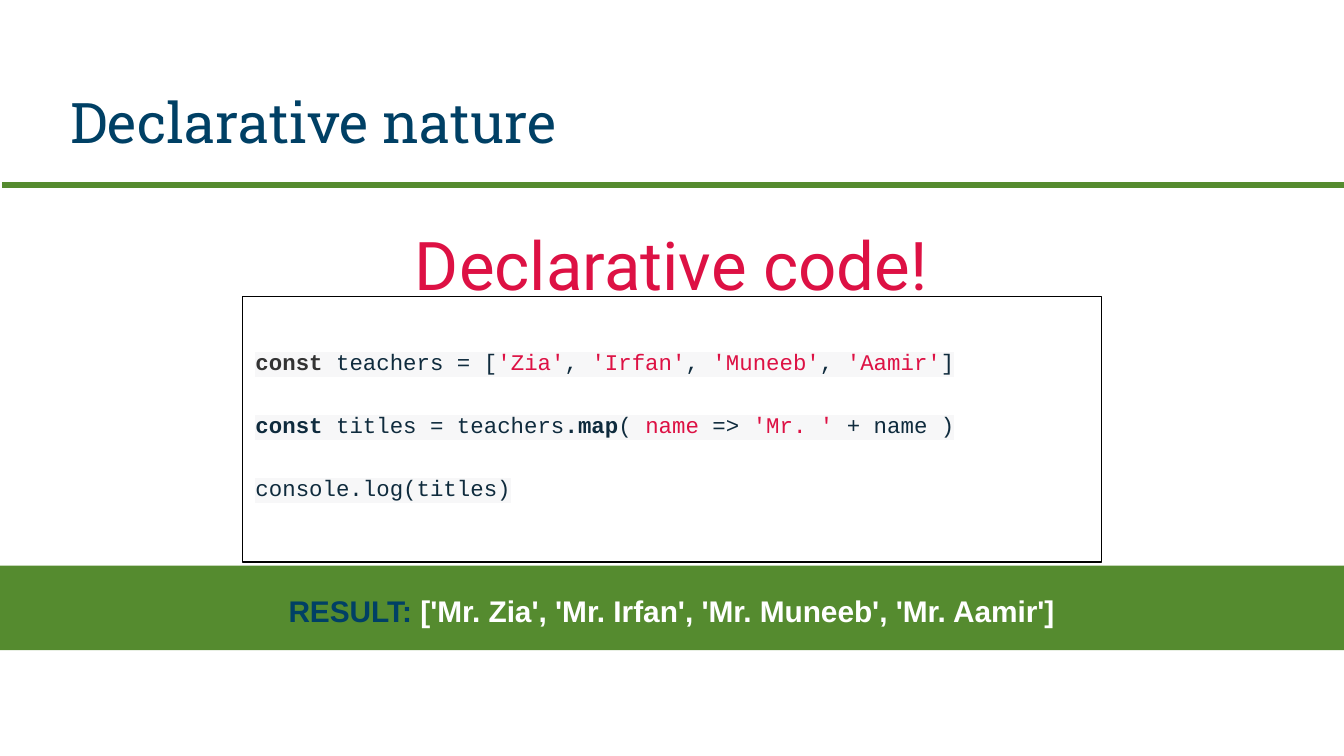
"""Builds a slide on declarative code with a sample and its result."""
from lxml import etree
from pptx import Presentation
from pptx.dml.color import RGBColor
from pptx.enum import shapes, text
from pptx.oxml import ns
from pptx.util import Pt

NAVY = RGBColor(0x00, 0x40, 0x65)
GREEN = RGBColor(0x55, 0x8B, 0x2F)
CRIMSON = RGBColor(0xDD, 0x11, 0x44)
INK = RGBColor(0x0F, 0x2B, 0x3D)
CHARCOAL = RGBColor(0x33, 0x33, 0x33)
BLACK = RGBColor(0x00, 0x00, 0x00)
WHITE = RGBColor(0xFF, 0xFF, 0xFF)
PALE = RGBColor(0xF7, 0xF7, 0xF8)

WIDTH, HEIGHT = 720, 405
INSET = 7.2

TEACHERS = ["'Zia'", "'Irfan'", "'Muneeb'", "'Aamir'"]
TITLE = [[("Declarative nature", NAVY, False)]]
HEADING = [[("Declarative code!", CRIMSON, False)]]
RESULT = [[
    ("RESULT: ", NAVY, True),
    ("['Mr. Zia', 'Mr. Irfan', 'Mr. Muneeb', 'Mr. Aamir']", WHITE, True),
]]

teacher_list = [("const", CHARCOAL, True), (" teachers = [", INK, False)]
for position, teacher in enumerate(TEACHERS):
    if position:
        teacher_list.append((", ", INK, False))
    teacher_list.append((teacher, CRIMSON, False))
teacher_list.append(("]", INK, False))

CODE = [
    teacher_list,
    [
        ("const", INK, True),
        (" titles = teachers", INK, False),
        (".map", INK, True),
        ("( ", INK, False),
        ("name", CRIMSON, False),
        (" => ", INK, False),
        ("'Mr. ' ", CRIMSON, False),
        ("+ name )", INK, False),
    ],
    [("console.log(titles)", INK, False)],
]


def write(holder, lines, *, font, size, align=text.PP_ALIGN.LEFT,
          anchor=text.MSO_ANCHOR.TOP, spacing=1.0, gap=0, top=INSET, highlight=None):
    frame = holder.text_frame
    frame.word_wrap = True
    frame.vertical_anchor = anchor
    frame.margin_left = frame.margin_right = frame.margin_bottom = Pt(INSET)
    frame.margin_top = Pt(top)
    for index, line in enumerate(lines):
        paragraph = frame.add_paragraph() if index else frame.paragraphs[0]
        paragraph.alignment = align
        paragraph.line_spacing = spacing
        paragraph.space_after = Pt(gap)
        for words, color, bold in line:
            run = paragraph.add_run()
            run.text = words
            run.font.name, run.font.size, run.font.bold = font, Pt(size), bold
            run.font.color.rgb = color
            if highlight is not None:
                mark = etree.Element(ns.qn("a:highlight"))
                etree.SubElement(mark, ns.qn("a:srgbClr"), val=str(highlight))
                run.font._element.find(ns.qn("a:solidFill")).addnext(mark)


def add_box(slide, left, top, width, height, fill=None, outline=None):
    box = slide.shapes.add_shape(
        shapes.MSO_SHAPE.RECTANGLE, Pt(left), Pt(top), Pt(width), Pt(height))
    box.shadow.inherit = False
    if fill is None:
        box.fill.background()
    else:
        box.fill.solid()
        box.fill.fore_color.rgb = fill
    if outline is None:
        box.line.fill.background()
    else:
        box.line.color.rgb = outline
        box.line.width = Pt(0.75)
    return box


def main():
    deck = Presentation()
    deck.slide_width, deck.slide_height = Pt(WIDTH), Pt(HEIGHT)
    slide = deck.slides.add_slide(deck.slide_layouts[6])

    rule = slide.shapes.add_connector(
        shapes.MSO_CONNECTOR.STRAIGHT, Pt(1.2), Pt(99.2), Pt(WIDTH), Pt(99.2))
    rule.line.color.rgb = GREEN
    rule.line.width = Pt(3)
    etree.SubElement(rule._element.spPr, ns.qn("a:effectLst"))

    title = slide.shapes.add_textbox(Pt(30.6), Pt(36), Pt(659), Pt(54))
    write(title, TITLE, font="Roboto Slab", size=30, anchor=text.MSO_ANCHOR.BOTTOM)

    code = add_box(slide, 129.8, 158.9, 460.4, 142.3, outline=BLACK)
    write(code, CODE, font="Courier New", size=12, spacing=1.14, gap=17.2,
          top=25.7, highlight=PALE)

    result = add_box(slide, 0, 303, WIDTH, 45.4, fill=GREEN)
    write(result, RESULT, font="Arial", size=16, align=text.PP_ALIGN.CENTER,
          anchor=text.MSO_ANCHOR.MIDDLE, spacing=1.14)

    heading = slide.shapes.add_textbox(Pt(163.5), Pt(105.8), Pt(392.4), Pt(49.7))
    write(heading, HEADING, font="Roboto", size=36, align=text.PP_ALIGN.CENTER,
          spacing=1.15, gap=10)

    deck.save("out.pptx")


if __name__ == "__main__":
    main()
